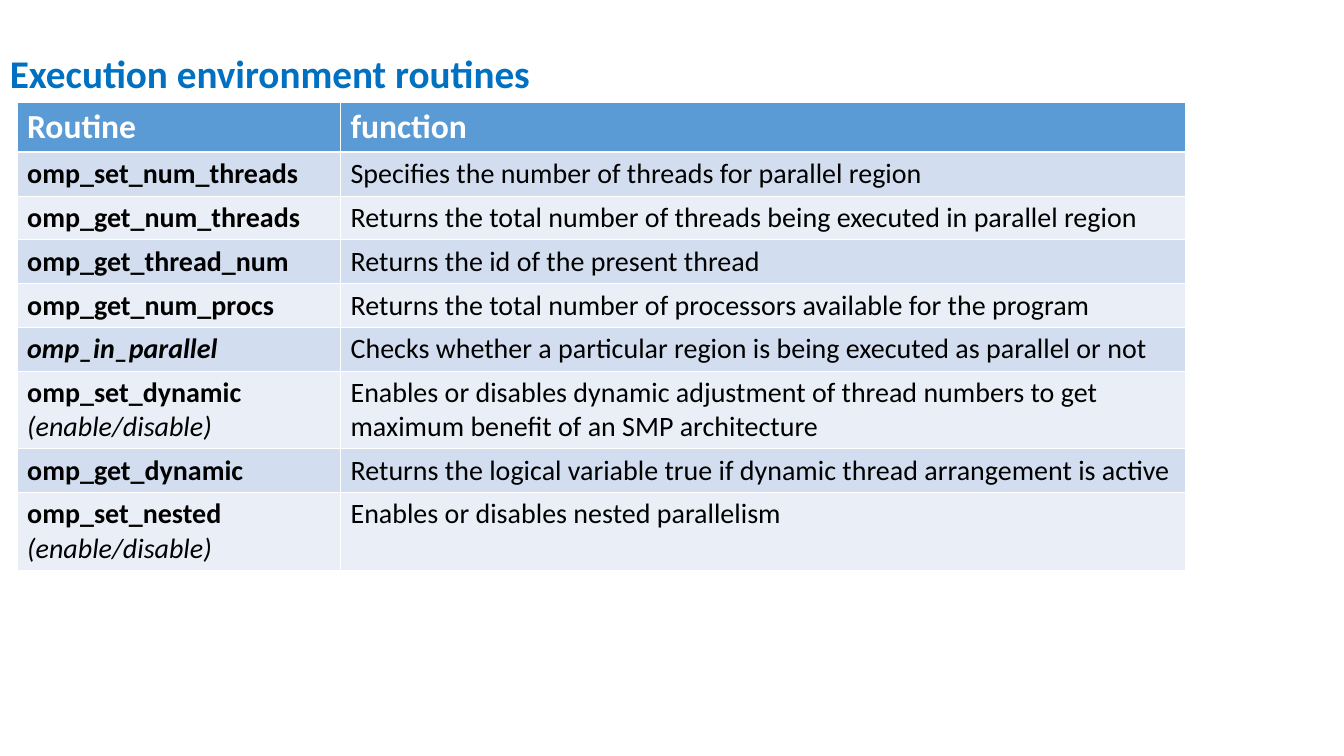
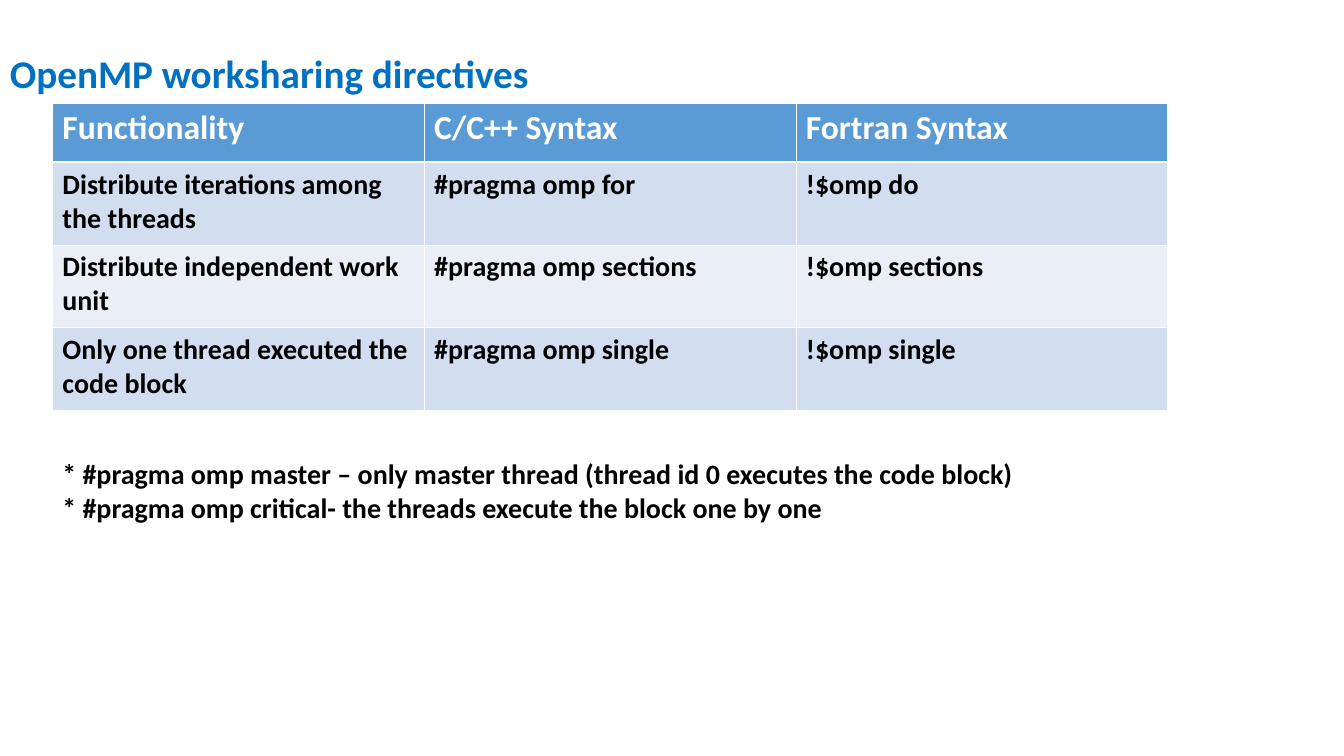
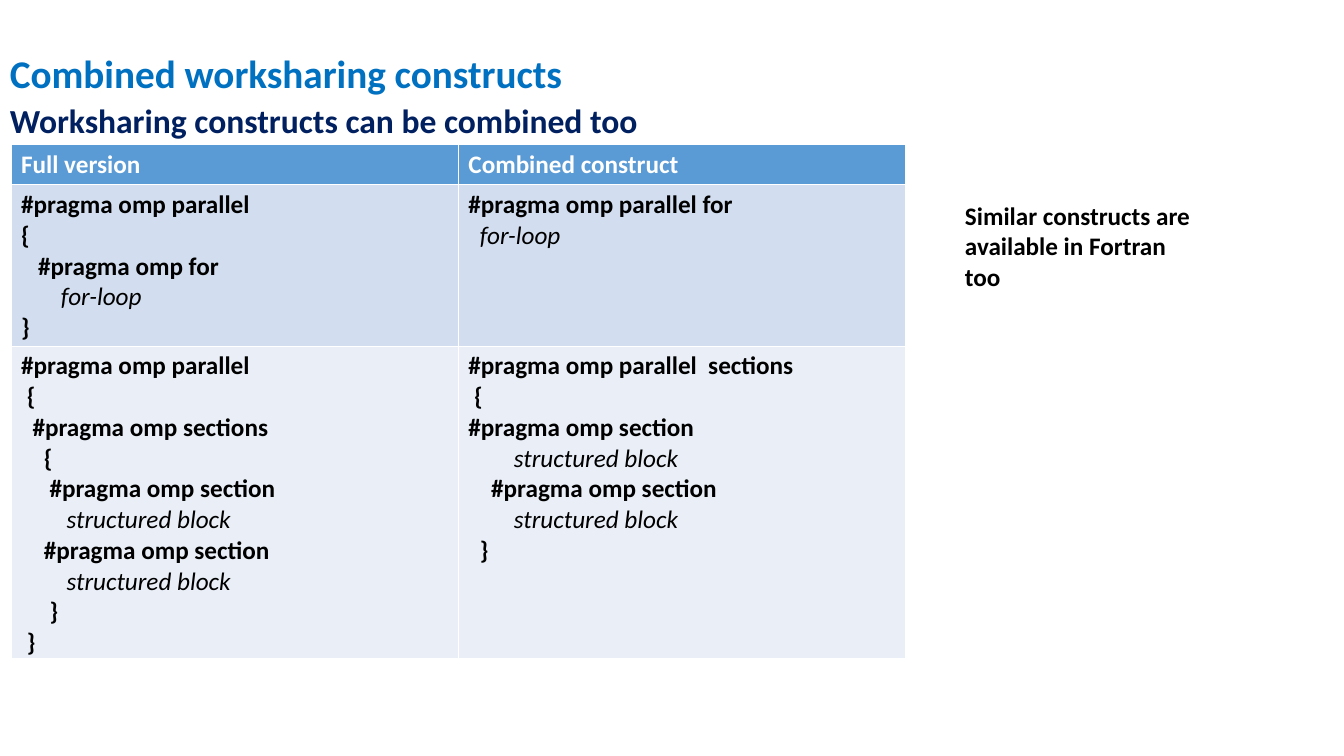
"""Build three slides on OpenMP routines, directives and combined constructs."""
from lxml.etree import SubElement
from pptx import Presentation
from pptx.dml.color import RGBColor
from pptx.oxml.ns import qn
from pptx.util import Inches, Pt

FONT = "Calibri"
WHITE, BLACK = "FFFFFF", "000000"
TITLE_COLOUR, SUBTITLE_COLOUR = "0070C0", "002060"
HEADER_FILL = "5B9BD5"
BAND_FILLS = ("D2DEEF", "EAEFF7")
THIN, THICK = 0.45, 1.47

FULL_FOR = """#pragma omp parallel
{
   #pragma omp for
|       for-loop
}"""
COMBINED_FOR = """#pragma omp parallel for
|  for-loop"""
FULL_SECTIONS = """#pragma omp parallel
 {
  #pragma omp sections
    {
     #pragma omp section
|        structured block
    #pragma omp section
|        structured block
     }
 }"""
COMBINED_SECTIONS = """#pragma omp parallel  sections
 {
#pragma omp section
|        structured block
    #pragma omp section
|        structured block
  }"""

SLIDES = [
    {
        "title": "Execution environment routines",
        "table": {
            "at": (0.17, 1.01),
            "columns": (3.21, 8.38),
            "heights": (0.5, 0.43, 0.43, 0.43, 0.43, 0.43, 0.77, 0.43, 0.77),
            "sizes": (24, 20),
            "styles": ("b", ""),
            "rows": [
                ("Routine", "function"),
                ("omp_set_num_threads", "Specifies the number of threads for parallel region"),
                ("omp_get_num_threads",
                 "Returns the total number of threads being executed in parallel region"),
                ("omp_get_thread_num", "Returns the id of the present thread"),
                ("omp_get_num_procs",
                 "Returns the total number of processors available for the program"),
                ("||omp_in_parallel",
                 "Checks whether a particular region is being executed as parallel or not"),
                ("omp_set_dynamic |(enable/disable)",
                 "Enables or disables dynamic adjustment of thread numbers to get "
                 "maximum benefit of an SMP architecture"),
                ("omp_get_dynamic",
                 "Returns the logical variable true if dynamic thread arrangement is active"),
                ("omp_set_nested |(enable/disable)", "Enables or disables nested parallelism"),
            ],
        },
        "texts": [],
    },
    {
        "title": "OpenMP worksharing directives",
        "table": {
            "at": (0.52, 1.02),
            "columns": (3.69, 3.69, 3.69),
            "heights": (0.59, 0.82, 0.82, 0.82),
            "sizes": (24, 20),
            "styles": ("b", "b", "b"),
            "rows": [
                ("Functionality", "C/C++ Syntax", "Fortran Syntax"),
                ("Distribute iterations among the threads", "#pragma omp for", "!$omp do"),
                ("Distribute independent work unit", "#pragma omp sections", "!$omp sections"),
                ("Only one thread executed the code block", "#pragma omp single",
                 "!$omp single"),
            ],
        },
        "texts": [
            ((0.52, 4.48, 10.07, 1.1), 20, BLACK,
             "* #pragma omp master – only master thread (thread id 0 executes the code block)\n"
             "* #pragma omp critical- the threads execute the block one by one"),
        ],
    },
    {
        "title": "Combined worksharing constructs",
        "table": {
            "at": (0.11, 1.43),
            "columns": (4.44, 4.44),
            "heights": (0.4, 1.6, 3.1),
            "sizes": (18, 18),
            "styles": ("b", "b"),
            "rows": [
                ("Full version", "Combined construct"),
                (FULL_FOR, COMBINED_FOR),
                (FULL_SECTIONS, COMBINED_SECTIONS),
            ],
        },
        "texts": [
            ((0, 0.94, 12.64, 0.5), 24, SUBTITLE_COLOUR,
             "Worksharing constructs can be combined too"),
            ((9.48, 1.94, 2.56, 1), 18, BLACK,
             "Similar constructs are available in Fortran too"),
        ],
    },
]


def colour(value):
    """Turn a hex string into a colour."""
    return RGBColor.from_string(value)


def write_text(text_frame, text, size, text_colour, style="b"):
    """Write lines; one bar starts plain italic text, two bars bold italic."""
    for index, line in enumerate(text.split("\n")):
        paragraph = text_frame.paragraphs[0] if index == 0 else text_frame.add_paragraph()
        for part, run_style in zip(line.split("|"), (style, "i", "bi")):
            if part:
                run = paragraph.add_run()
                run.text = part
                run.font.name = FONT
                run.font.size = Pt(size)
                run.font.bold = "b" in run_style
                run.font.italic = "i" in run_style
                run.font.color.rgb = colour(text_colour)


def add_text(slide, box, size, text_colour, text):
    """Add a bold wrapped text box."""
    shape = slide.shapes.add_textbox(*map(Inches, box))
    shape.text_frame.word_wrap = True
    write_text(shape.text_frame, text, size, text_colour)


def add_borders(cell, top, bottom):
    """Draw white borders, which must come before the fill of the cell."""
    properties = cell._tc.get_or_add_tcPr()
    for side, width in (("L", THIN), ("R", THIN), ("T", top), ("B", bottom)):
        line = SubElement(properties, qn(f"a:ln{side}"), w=str(Pt(width)))
        fill = SubElement(line, qn("a:solidFill"))
        SubElement(fill, qn("a:srgbClr"), val=WHITE)


def add_table(slide, data):
    """Add a table with a header row and banded body rows."""
    rows, columns, heights = data["rows"], data["columns"], data["heights"]
    left, top = data["at"]
    frame = slide.shapes.add_table(
        len(rows), len(columns),
        *map(Inches, (left, top, sum(columns), sum(heights))))
    table = frame.table
    table.first_row = table.horz_banding = False
    for column, width in zip(table.columns, columns):
        column.width = Inches(width)
    for row_index, (row, height) in enumerate(zip(rows, heights)):
        table.rows[row_index].height = Inches(height)
        header = row_index == 0
        size = data["sizes"][0 if header else 1]
        fill = HEADER_FILL if header else BAND_FILLS[(row_index - 1) % 2]
        for column_index, text in enumerate(row):
            cell = table.cell(row_index, column_index)
            add_borders(cell, THICK if row_index == 1 else THIN, THICK if header else THIN)
            cell.fill.solid()
            cell.fill.fore_color.rgb = colour(fill)
            style = "b" if header else data["styles"][column_index]
            write_text(cell.text_frame, text, size, WHITE if header else BLACK, style)


def main():
    """Build and save the presentation."""
    presentation = Presentation()
    presentation.slide_width = Inches(13.34)
    presentation.slide_height = Inches(7.5)
    for content in SLIDES:
        slide = presentation.slides.add_slide(presentation.slide_layouts[6])
        add_text(slide, (0, 0.44, 10.17, 0.57), 28, TITLE_COLOUR, content["title"])
        add_table(slide, content["table"])
        for text in content["texts"]:
            add_text(slide, *text)
    presentation.save("out.pptx")


if __name__ == "__main__":
    main()
